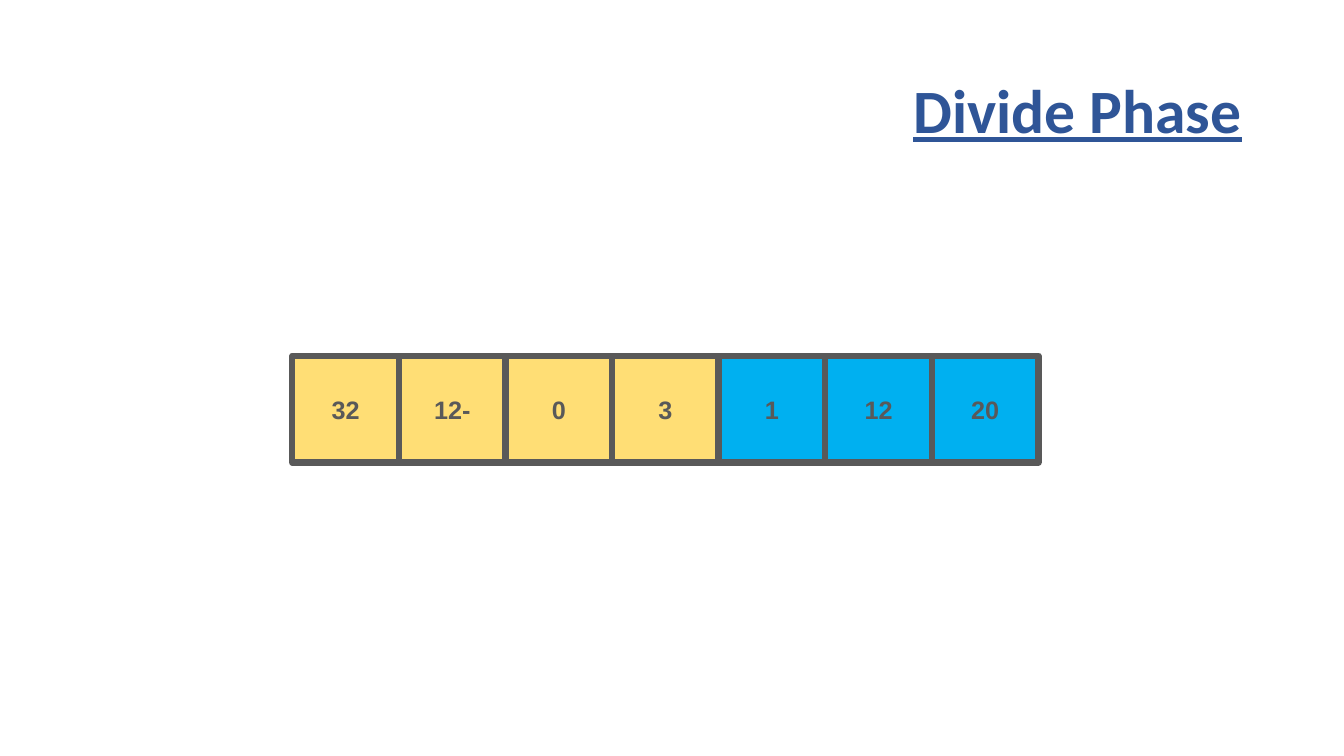
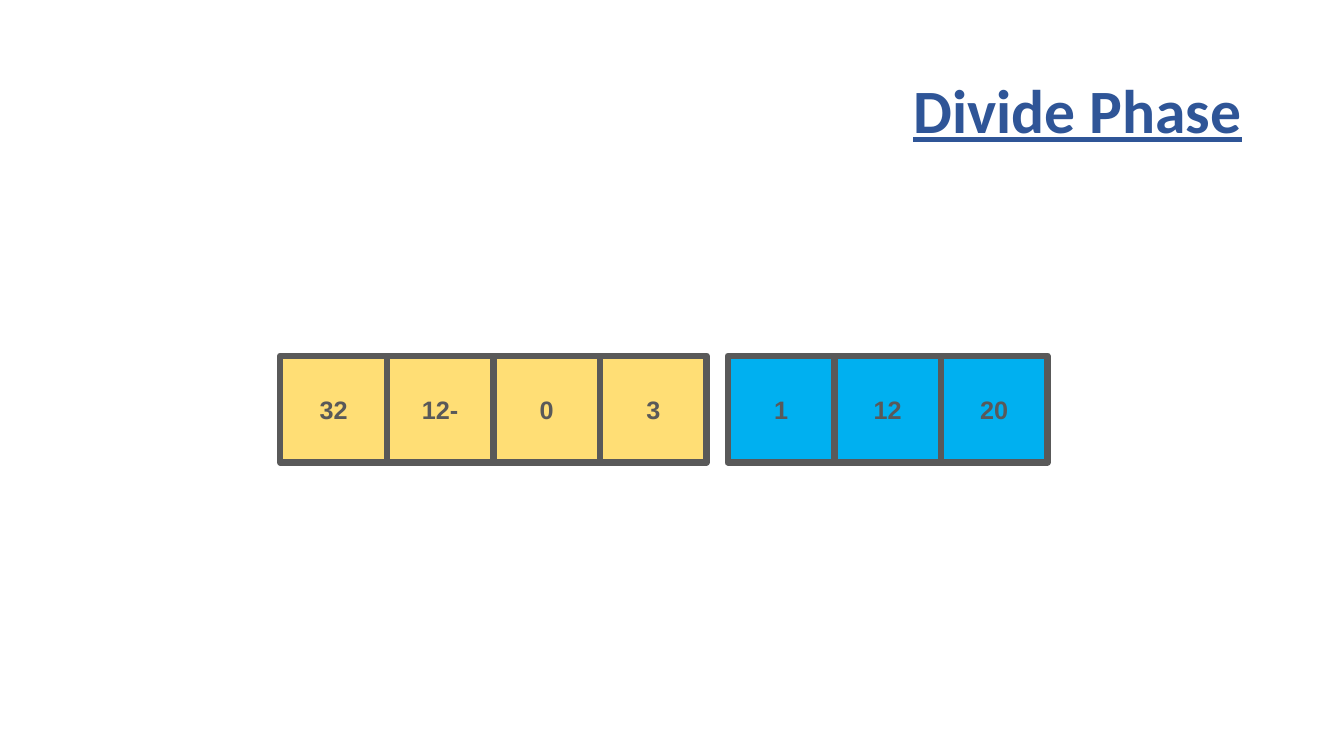
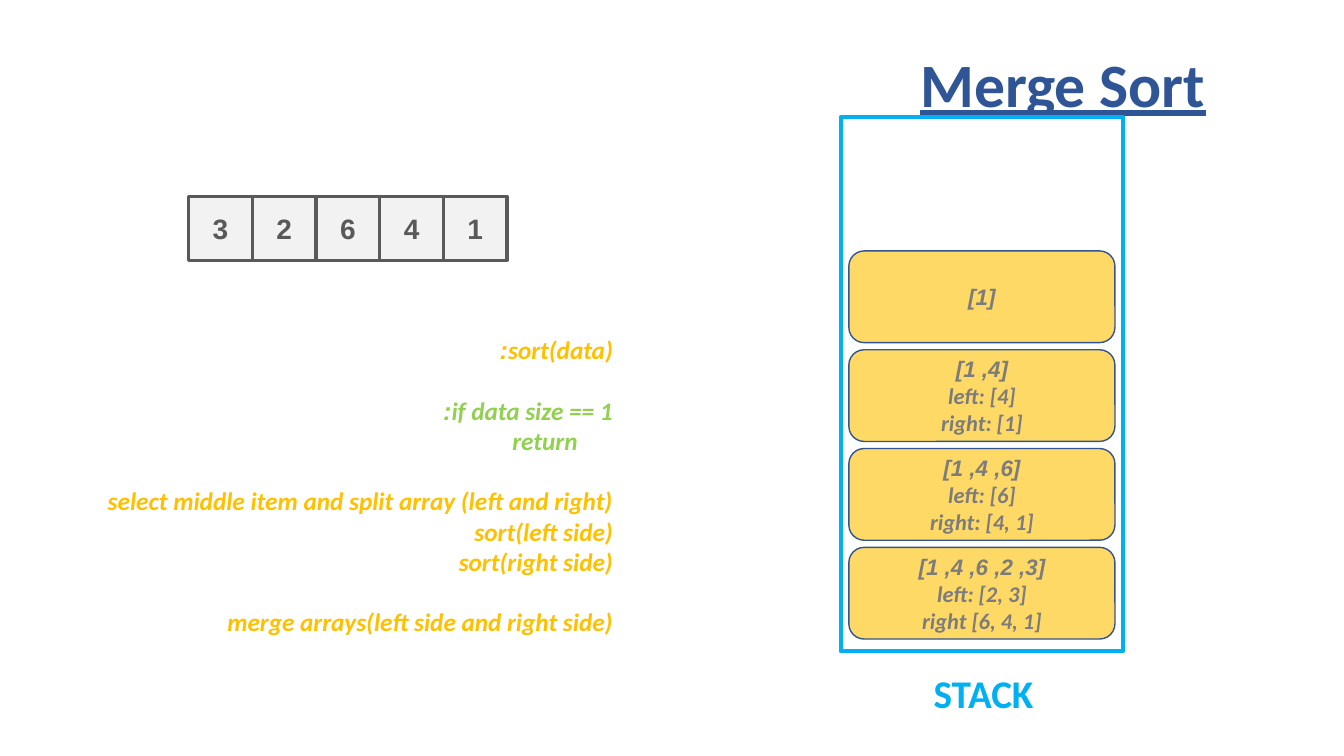
from lxml.etree import SubElement
from pptx import Presentation
from pptx.dml.color import RGBColor
from pptx.enum.shapes import MSO_SHAPE as Shape
from pptx.enum.text import MSO_ANCHOR as Anchor, MSO_AUTO_SIZE as Fit, PP_ALIGN as Align
from pptx.oxml.ns import qn
from pptx.util import Inches, Pt

# Content: groups of neighbouring cells, as (fill, values)
YELLOW, BLUE, NAVY, GREY = "FFDE75", "00B0F0", "2F5597", "595959"
AMBER, GREEN = "FFC000", "92D050"

LEFT_HALF = (YELLOW, ["32", "-12", "0", "3"])
RIGHT_HALF = (BLUE, ["1", "12", "20"])
DATA = ("F2F2F2", ["3", "2", "6", "4", "1"])

# (row start, gap between halves), in percent of the width
DIVIDE_STEPS = [(21.75, 0), (20.85, 1.58)]

# (text, colour, blank lines before, indent in inches)
PSEUDOCODE = [
    ("sort(data):", AMBER, 0, 0),
    ("if data size == 1:", GREEN, 1, 0),
    ("return", GREEN, 0, 0.35),
    ("select middle item and split array (left and right)", AMBER, 1, 0),
    ("sort(left side)", AMBER, 0, 0),
    ("sort(right side)", AMBER, 0, 0),
    ("merge arrays(left side and right side)", AMBER, 1, 0),
]

# Bottom of the stack first
CALLS = [
    ["[3, 2, 6, 4, 1]", "left: [2, 3]", "right [6, 4, 1]"],
    ["[6, 4, 1]", "left: [6]", "right: [4, 1]"],
    ["[4, 1]", "left: [4]", "right: [1]"],
    ["[1]"],
]

# Shared style
FONT, DIGIT_FONT = "Calibri", "Arial"
CODE_LINE = 21.6

deck = Presentation()
deck.slide_width, deck.slide_height = Inches(13.33), Inches(7.5)


def place(left, top, width, height):
    """Turn percentages of the slide into lengths."""
    across, down = deck.slide_width / 100, deck.slide_height / 100
    return [round(left * across), round(top * down),
            round(width * across), round(height * down)]


def rgb(colour):
    return RGBColor.from_string(colour)


def write(paragraph, text, *, size, colour, align=Align.CENTER, italic=False,
          underline=None, before=0, indent=0, spacing=None):
    """Fill one right-to-left paragraph."""
    paragraph.alignment = align
    if before:
        paragraph.space_before = Pt(before)
    if spacing:
        paragraph.line_spacing = spacing
    properties = paragraph._p.get_or_add_pPr()
    properties.set("rtl", "1")
    if indent:
        properties.set("marL", str(Inches(indent)))
    run = paragraph.add_run()
    run.text = text
    font = run.font
    font.name, font.size, font.bold = FONT, Pt(size), True
    font.italic, font.underline = italic, underline
    font.color.rgb = rgb(colour)
    SubElement(run._r.get_or_add_rPr(), qn("a:cs"), typeface=DIGIT_FONT)


def next_paragraph(frame, index):
    return frame.add_paragraph() if index else frame.paragraphs[0]


def add_titled_slide(title, left=6.9, top=5.33):
    slide = deck.slides.add_slide(deck.slide_layouts[5])
    heading = slide.shapes.title
    heading.left, heading.top, heading.width, heading.height = place(left, top, 86.25, 19.33)
    heading.text_frame.vertical_anchor = Anchor.MIDDLE
    write(heading.text_frame.paragraphs[0], title, size=44, colour=NAVY,
          align=Align.RIGHT, underline=True, spacing=0.9)
    return slide


def add_box(slide, area, lines=(), *, fill, line, weight, kind=Shape.RECTANGLE, **style):
    box = slide.shapes.add_shape(kind, *place(*area))
    box.shadow.inherit = False
    if fill:
        box.fill.solid()
        box.fill.fore_color.rgb = rgb(fill)
    else:
        box.fill.background()
    box.line.color.rgb, box.line.width = rgb(line), Pt(weight)
    box.text_frame.vertical_anchor = Anchor.MIDDLE
    for index, text in enumerate(lines):
        write(next_paragraph(box.text_frame, index), text, **style)


def add_cells(slide, groups, left, top, width, height, gap=0, *, weight, size):
    """Draw array cells side by side, with a gap after each group."""
    for fill, values in groups:
        for value in values:
            add_box(slide, (left, top, width, height), [value], fill=fill,
                    line=GREY, weight=weight, size=size, colour=GREY)
            left += width
        left += gap


def add_label(slide, area):
    frame = slide.shapes.add_textbox(*place(*area)).text_frame
    frame.word_wrap = True
    frame.auto_size = Fit.SHAPE_TO_FIT_TEXT
    return frame


# Divide phase: the whole array, then its two halves
for start, gap in DIVIDE_STEPS:
    divide = add_titled_slide("Divide Phase")
    add_cells(divide, [LEFT_HALF, RIGHT_HALF], start, 47.07, 7.93, 14.1, gap,
              weight=4.5, size=18)

# Merge sort: stack frame and its label
merge = add_titled_slide("Merge Sort", 4.2, 1.87)
add_box(merge, (62.56, 15.47, 21, 70.67), fill=None, line=BLUE, weight=3)
stack_label = add_label(merge, (68.48, 87.87, 9.15, 7.6))
write(stack_label.paragraphs[0], "STACK", size=28, colour=BLUE, align=Align.RIGHT)

# Pseudocode
code = add_label(merge, (7.28, 43.6, 47.18, 41.73))
code.margin_left, code.margin_right = 0, Inches(1.18)
for index, (text, colour, blanks, indent) in enumerate(PSEUDOCODE):
    write(next_paragraph(code, index), text, size=18, colour=colour, align=Align.RIGHT,
          italic=True, before=blanks * CODE_LINE, indent=indent)

# Array to sort
add_cells(merge, [DATA], 14.03, 26, 4.74, 8.42, weight=2.25, size=20)

# Calls, piled upwards
CALL_BOTTOM, CALL_PITCH = 72.4, 13.07
for level, lines in enumerate(CALLS):
    add_box(merge, (63.16, CALL_BOTTOM - level * CALL_PITCH, 19.8, 12.13), lines,
            fill="FFD966", line="325491", weight=1, kind=Shape.ROUNDED_RECTANGLE,
            size=16, colour="7C7C7C", italic=True)

deck.save("out.pptx")
